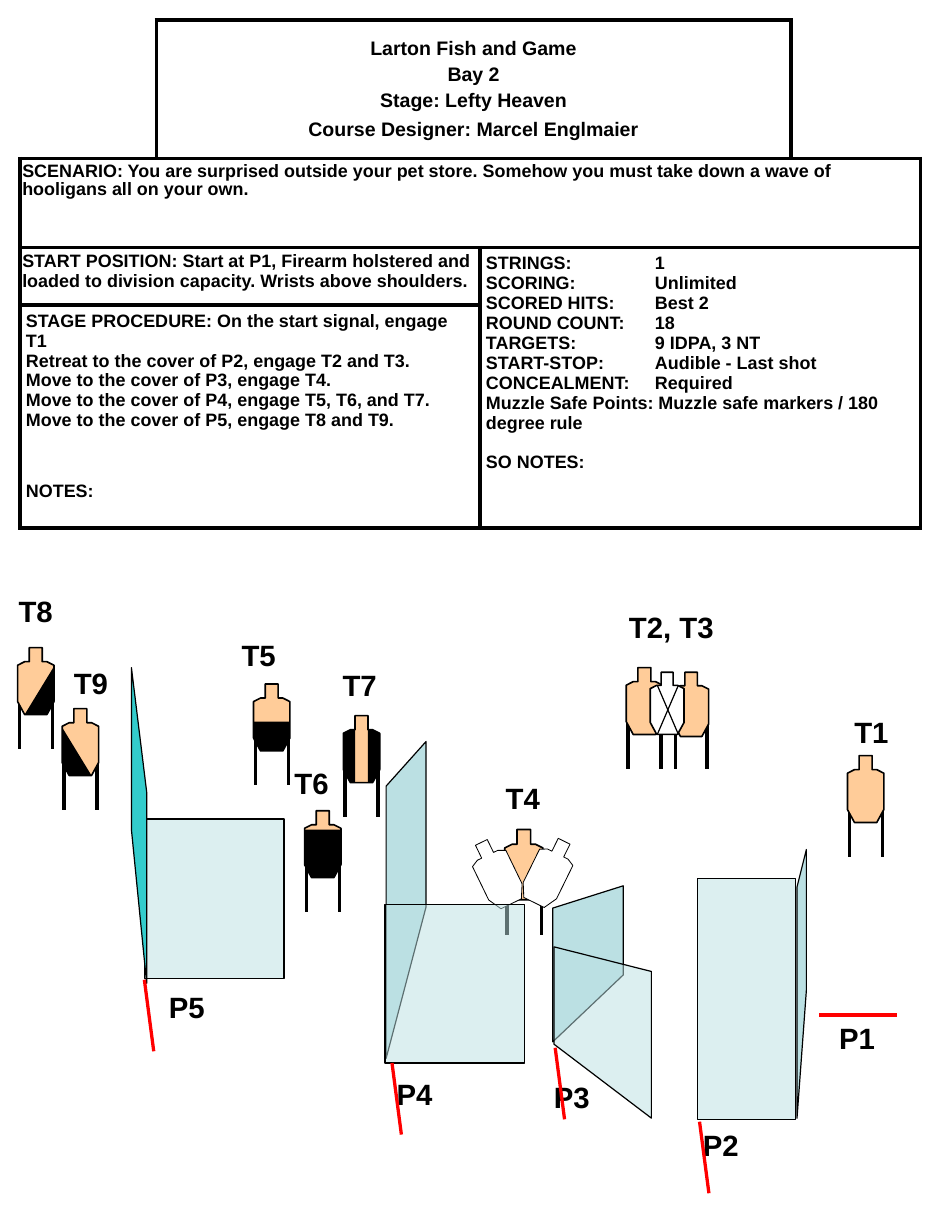
"""Build a one-page stage sheet: a briefing table above a plan of targets and cover walls."""
import pptx
import pptx.dml.color
import pptx.enum.shapes
import pptx.enum.text
import pptx.oxml
import pptx.oxml.ns
import pptx.util
from lxml import etree

THEME = {
    "ink": "000000", "paper": "FFFFFF", "tan": "FFCC99", "wall": "BBE0E3",
    "dark_wall": "33CCCC", "fault": "FF0000",
    "heading": {"name": "Arial", "size": pptx.util.Pt(12), "bold": True},
    "body": {"name": "Arial", "size": pptx.util.Pt(11), "bold": True},
    "label": {"name": "Arial", "size": pptx.util.Pt(18), "bold": True},
}
RGB = pptx.dml.color.RGBColor.from_string
qn = pptx.oxml.ns.qn

deck = pptx.Presentation()
deck.slide_width = pptx.util.Inches(8)
deck.slide_height = pptx.util.Inches(10.5)
col, row = deck.slide_width / 800, deck.slide_height / 1050
slide = deck.slides.add_slide(deck.slide_layouts[6])
shapes = slide.shapes


def draw_outline(points, fill, weight=0.75, opacity=None, rotation=0):
    corners = [(x * col, y * row) for x, y in points]
    builder = shapes.build_freeform(*corners[0], scale=1.0)
    builder.add_line_segments(corners[1:], close=True)
    outline = builder.convert_to_shape()
    outline.shadow.inherit = False
    outline.rotation = rotation
    outline.fill.solid()
    outline.fill.fore_color.rgb = RGB(THEME[fill])
    if opacity:
        shade = outline.fill._xPr.find(qn("a:solidFill"))[0]
        etree.SubElement(shade, qn("a:alpha"), val=str(opacity * 1000))
    if weight:
        outline.line.color.rgb = RGB(THEME["ink"])
        outline.line.width = pptx.util.Pt(weight)
    else:
        outline.line.fill.background()


def draw_line(x1, y1, x2, y2, color, weight):
    stroke = shapes.add_connector(
        pptx.enum.shapes.MSO_CONNECTOR.STRAIGHT,
        *(round(v) for v in (x1 * col, y1 * row, x2 * col, y2 * row)))
    stroke.line.color.rgb = RGB(THEME[color])
    stroke.line.width = pptx.util.Pt(weight)
    etree.SubElement(stroke._element.spPr, qn("a:effectLst"))


draw_outline([(363, 773), (329, 902), (329, 670), (363, 632)], "wall")

column_widths, row_heights = (116, 276, 265, 110), (118, 76, 49, 190)
briefing = shapes.add_table(4, 4, round(17 * col), round(17 * row),
                            round(sum(column_widths) * col), round(sum(row_heights) * row)).table
briefing.first_row = briefing.horz_banding = False
for index, width in enumerate(column_widths):
    briefing.columns[index].width = round(width * col)
for index, height in enumerate(row_heights):
    briefing.rows[index].height = round(height * row)

open_edges = {(0, 0): ("L", "T"), (0, 3): ("R", "T")}
for r in range(4):
    for c in range(4):
        cell = briefing.cell(r, c)
        cell.fill.solid()
        cell.fill.fore_color.rgb = RGB(THEME["paper"])
        for position, side in enumerate("LRTB"):
            paint = "<a:noFill/>" if side in open_edges.get((r, c), ()) else (
                f'<a:solidFill><a:srgbClr val="{THEME["ink"]}"/></a:solidFill>')
            cell._tc.tcPr.insert(position, pptx.oxml.parse_xml(
                f'<a:ln{side} {pptx.oxml.ns.nsdecls("a")} w="28575">{paint}</a:ln{side}>'))

sections = [
    ((0, 1), (0, 2), "heading", (5, 5), [
        ("Larton Fish and Game", 0), ("Bay 2", 2.4), ("Stage: Lefty Heaven", 2.4),
        ("Course Designer: Marcel Englmaier", 4.2)]),
    ((1, 0), (1, 3), "body", (2, 4), [
        ("SCENARIO: You are surprised outside your pet store. Somehow you must take down "
         "a wave of hooligans all on your own.", 0)]),
    ((2, 0), (2, 1), "body", (2, 3), [
        ("START POSITION: Start at P1, Firearm holstered and loaded to division capacity. "
         "Wrists above shoulders.", 0)]),
    ((2, 2), (3, 3), "body", (5, 5), [
        ("STRINGS:\t1", 0), ("SCORING:\tUnlimited", 0), ("SCORED HITS:\tBest 2", 0),
        ("ROUND COUNT:\t18", 0), ("TARGETS:\t9 IDPA, 3 NT", 0),
        ("START-STOP:\tAudible - Last shot", 0), ("CONCEALMENT:\tRequired", 0),
        ("Muzzle Safe Points: Muzzle safe markers / 180 degree rule", 0), ("SO NOTES:", 12)]),
    ((3, 0), (3, 1), "body", (5, 5), [
        ("STAGE PROCEDURE: On the start signal, engage T1", 0),
        ("Retreat to the cover of P2, engage T2 and T3.", 0),
        ("Move to the cover of P3, engage T4.", 0),
        ("Move to the cover of P4, engage T5, T6, and T7.", 0),
        ("Move to the cover of P5, engage T8 and T9.", 0), ("NOTES:", 31)]),
]
for first, last, style, (side_inset, end_inset), lines in sections:
    section = briefing.cell(*first)
    section.merge(briefing.cell(*last))
    section.margin_left = section.margin_right = round(side_inset * col)
    section.margin_top = section.margin_bottom = round(end_inset * row)
    for index, (wording, gap) in enumerate(lines):
        frame = section.text_frame
        paragraph = frame.paragraphs[0] if index == 0 else frame.add_paragraph()
        if gap:
            paragraph.space_before = pptx.util.Pt(gap)
        if style == "heading":
            section.vertical_anchor = pptx.enum.text.MSO_ANCHOR.MIDDLE
            paragraph.alignment = pptx.enum.text.PP_ALIGN.CENTER
        if first == (1, 0):
            paragraph.line_spacing = 0.9
        if "\t" in wording:
            tabs = etree.SubElement(paragraph._p.get_or_add_pPr(), qn("a:tabLst"))
            etree.SubElement(tabs, qn("a:tab"), pos=str(round(144 * col)), algn="l")
        run = paragraph.add_run()
        run.text = wording
        run.font.color.rgb = RGB(THEME["ink"])
        for name, value in THEME[style].items():
            setattr(run.font, name, value)

silhouette = [(10, 0), (21, 0), (21, 12), (25, 12), (31, 15), (31, 46),
              (25, 57), (6, 57), (0, 46), (0, 15), (6, 12), (10, 12)]
right_half = [(31, 16), (31, 46), (25, 57), (6, 57)]
left_half = [(31 - x, y) for x, y in right_half]
right_strip = [(21, 12), (21, 57), (25, 57), (31, 46), (31, 15), (25, 12)]
left_strip = [(31 - x, y) for x, y in right_strip]
waist_down, neck_down = [[(0, top), (31, top), (31, 46), (25, 57), (6, 57), (0, 46)]
                         for top in (32, 16)]
targets = [
    (722, 644, 1, "tan", 0, []),
    (533.5, 569, 1, "tan", 0, []),
    (574, 573, 0.96, "tan", 0, []),
    (554, 573, 0.93, "paper", 0, []),
    (430, 707, 1.05, "tan", 0, []),
    (452, 714, 1.02, "paper", 26.2, []),
    (407, 715, 1.02, "paper", 334.1, []),
    (292.5, 610, 1, "tan", 0, [left_strip, right_strip]),
    (216, 583, 1, "tan", 0, [waist_down]),
    (259.5, 691, 1, "tan", 0, [neck_down]),
    (15, 552, 1, "tan", 0, [right_half]),
    (53, 604, 1, "tan", 0, [left_half]),
]
for left, top, scale, fill, rotation, covers in targets:
    if fill == "tan":
        for leg in (1.7, 29.8):
            draw_line(left + leg * scale, top + 42 * scale,
                      left + leg * scale, top + 86 * scale, "ink", 2.25)
    for part in [silhouette] + covers:
        is_body = part is silhouette
        draw_outline([(left + x * scale, top + y * scale) for x, y in part],
                     fill if is_body else "ink",
                     (0.5 if rotation else 1) if is_body else 0, rotation=rotation)
for start, end in ((560, 578), (578, 560)):
    draw_line(start, 584, end, 626, "ink", 0.75)

walls = [
    ([(531, 831), (471, 888), (471, 774), (531, 755)], "wall", None),
    ([(687, 844), (679, 953), (679, 756), (687, 724)], "wall", None),
    ([(678, 954), (594, 954), (594, 749), (678, 749)], "wall", 50),
    ([(472, 890), (555, 953), (555, 828), (472, 807)], "wall", 50),
    ([(447, 906), (328, 906), (328, 771), (447, 771)], "wall", 50),
    ([(242, 834), (123, 834), (123, 698), (242, 698)], "wall", 50),
    ([(125, 675), (112, 569), (112, 707), (125, 838)], "dark_wall", None),
]
for corners, fill, opacity in walls:
    draw_outline(corners, fill, opacity=opacity)

labels = {
    "P1": (705, 865), "P2": (589, 956), "P3": (462, 915), "P4": (328, 912), "P5": (134, 838),
    "T1": (718, 604), "T2, T3": (526, 514), "T4": (421, 660), "T5": (196, 538),
    "T6": (241, 647), "T7": (282, 564), "T8": (6, 501), "T9": (53, 562),
}
for wording, (left, top) in labels.items():
    width = 122 if "," in wording else 58
    label = shapes.add_textbox(*(round(v) for v in (left * col, top * row, width * col, 40 * row)))
    label.text_frame.word_wrap = True
    label.text_frame.auto_size = pptx.enum.text.MSO_AUTO_SIZE.SHAPE_TO_FIT_TEXT
    run = label.text_frame.paragraphs[0].add_run()
    run.text = wording
    run.font.color.rgb = RGB(THEME["ink"])
    for name, value in THEME["label"].items():
        setattr(run.font, name, value)

draw_line(764, 865, 698, 865, "fault", 2)
for left, top in ((596, 956), (473, 893), (334, 906), (123, 835)):
    draw_line(left, top, left + 8, top + 61, "fault", 2)

deck.save("out.pptx")
